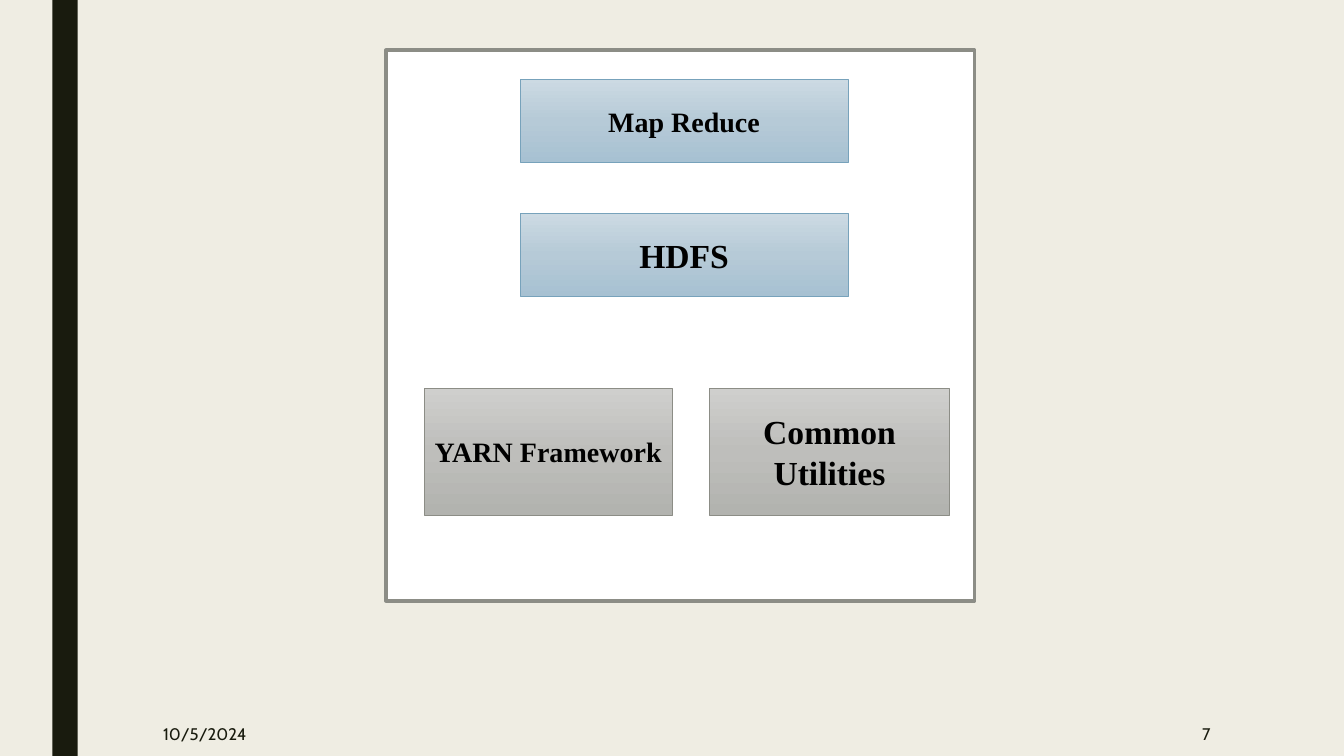
import copy

import pptx
import pptx.dml.color
import pptx.enum.shapes
import pptx.enum.text
import pptx.oxml.ns
import pptx.util

Cm = pptx.util.Cm
Pt = pptx.util.Pt
RGBColor = pptx.dml.color.RGBColor
Align = pptx.enum.text.PP_ALIGN

CREAM = RGBColor(0xEF, 0xED, 0xE3)
DARK = RGBColor(0x19, 0x1B, 0x0E)
WHITE = RGBColor(0xFF, 0xFF, 0xFF)
BLACK = RGBColor(0x00, 0x00, 0x00)
GREY = RGBColor(0x8C, 0x8D, 0x86)
BLUE = RGBColor(0x77, 0xA2, 0xBB)
BLUE_SHADES = (
    RGBColor(0xCC, 0xDA, 0xE3),
    RGBColor(0xB6, 0xCA, 0xD7),
    RGBColor(0xA7, 0xC1, 0xD2),
)
GREY_SHADES = (
    RGBColor(0xCF, 0xCF, 0xCD),
    RGBColor(0xBE, 0xBE, 0xBB),
    RGBColor(0xB2, 0xB3, 0xAF),
)


class SlideBuilder:
    label_font = "Times New Roman"
    footer_font = "Cabin"
    footer_size = 12

    def __init__(self, page):
        self.page = page

    def background(self, color):
        fill = self.page.background.fill
        fill.solid()
        fill.fore_color.rgb = color

    def rectangle(self, left, top, width, height, color, line=None, line_width=0.5):
        box = self.page.shapes.add_shape(
            pptx.enum.shapes.MSO_SHAPE.RECTANGLE,
            Cm(left), Cm(top), Cm(width), Cm(height),
        )
        box.shadow.inherit = False
        box.fill.solid()
        box.fill.fore_color.rgb = color
        if line is None:
            box.line.fill.background()
        else:
            box.line.color.rgb = line
            box.line.width = Pt(line_width)
        return box

    def shade(self, box, shades):
        box.fill.gradient()
        box.fill.gradient_angle = 270
        stop_list = box._element.spPr.find(".//" + pptx.oxml.ns.qn("a:gsLst"))
        stop_list.insert(1, copy.deepcopy(stop_list[0]))
        for stop, position, color in zip(box.fill.gradient_stops, (0, 0.5, 1), shades):
            stop.position = position
            stop.color.rgb = color

    def label(self, box, lines, font, size, color, align, bold=False):
        frame = box.text_frame
        frame.word_wrap = True
        frame.vertical_anchor = pptx.enum.text.MSO_ANCHOR.MIDDLE
        frame.text = "\n".join(lines)
        for para in frame.paragraphs:
            para.alignment = align
            para.font.name = font
            para.font.size = Pt(size)
            para.font.bold = bold
            para.font.color.rgb = color

    def block(self, left, top, width, height, lines, size, shades, line):
        box = self.rectangle(left, top, width, height, shades[0], line)
        self.shade(box, shades)
        box.text_frame.margin_left = box.text_frame.margin_right = Cm(0.2)
        self.label(box, lines, self.label_font, size, BLACK, Align.CENTER, True)

    def footer(self, left, width, text, align):
        box = self.page.shapes.add_textbox(Cm(left), Cm(17.93), Cm(width), Cm(1.12))
        self.label(box, [text], self.footer_font, self.footer_size, DARK, align)


def main():
    deck = pptx.Presentation()
    deck.slide_width = Cm(33.87)
    deck.slide_height = Cm(19.05)
    slide = SlideBuilder(deck.slides.add_slide(deck.slide_layouts[6]))

    slide.background(CREAM)
    slide.rectangle(1.32, 0, 0.64, 19.05, DARK)
    slide.footer(3.86, 3.35, "10/5/2024", Align.LEFT)
    slide.footer(26.31, 4.45, "7", Align.RIGHT)
    slide.rectangle(9.73, 1.27, 14.83, 13.87, WHITE, GREY, 2.75)

    for top, text, size in ((2.01, "Map Reduce", 20), (5.38, "HDFS", 24)):
        slide.block(13.11, top, 8.26, 2.08, [text], size, BLUE_SHADES, BLUE)

    for left, width, lines, size in (
        (10.69, 6.25, ["YARN Framework"], 20),
        (17.88, 6.05, ["Common", "Utilities"], 24),
    ):
        slide.block(left, 9.78, width, 3.2, lines, size, GREY_SHADES, GREY)

    deck.save("out.pptx")


if __name__ == "__main__":
    main()
